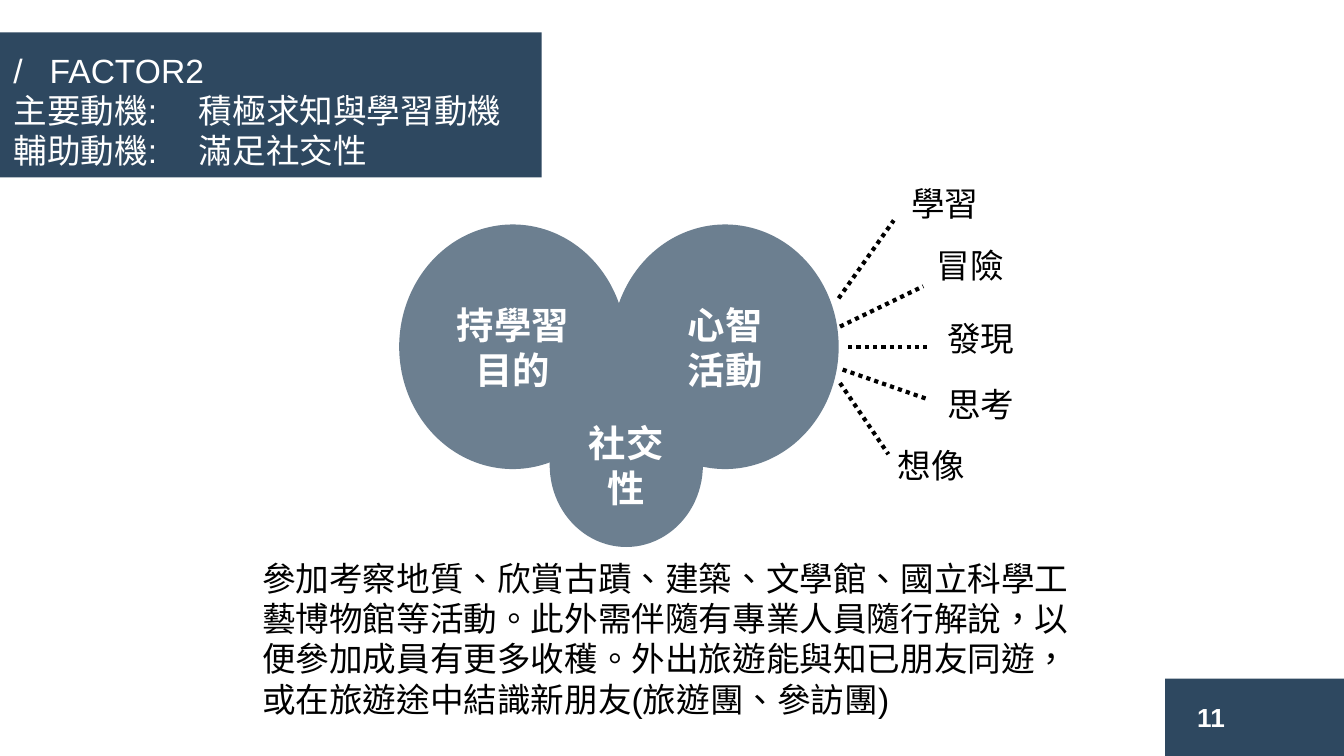
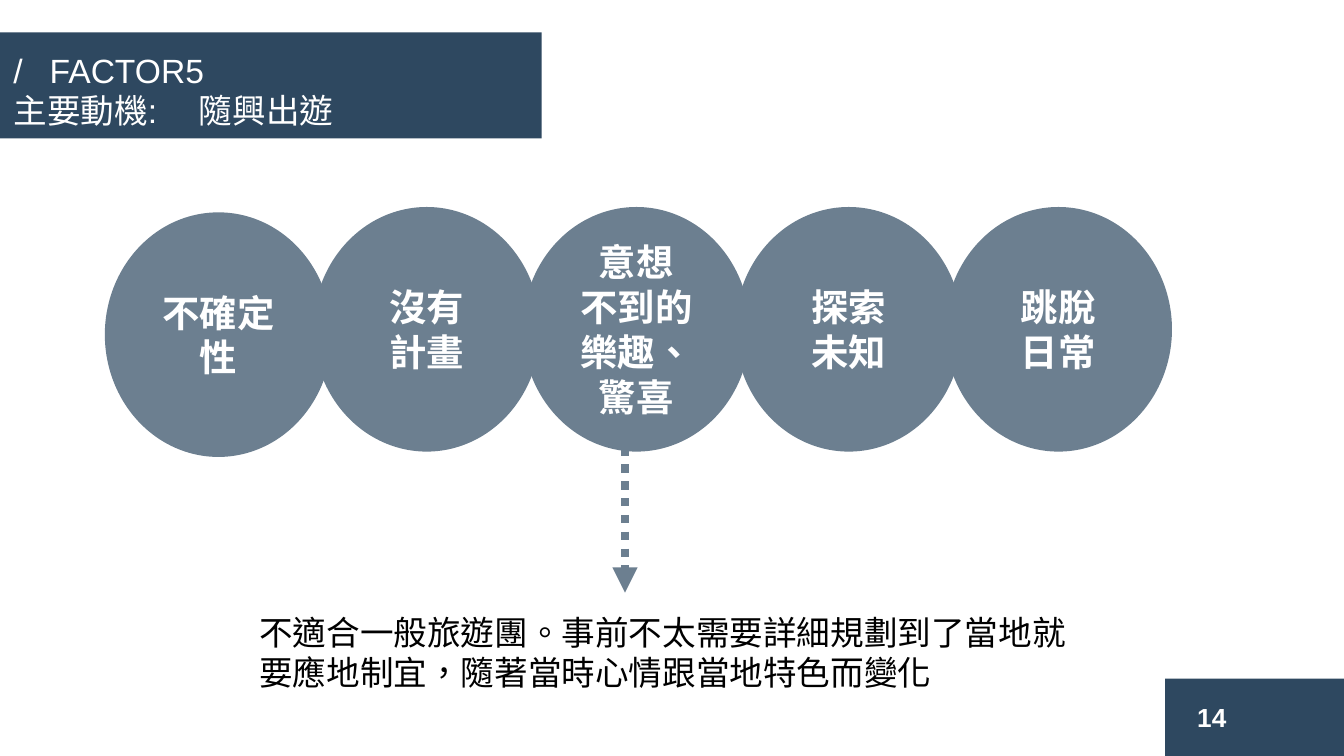
from dataclasses import dataclass

from lxml import etree
from pptx import Presentation
from pptx.dml.color import RGBColor
from pptx.enum.dml import MSO_LINE
from pptx.enum.lang import MSO_LANGUAGE_ID
from pptx.enum.shapes import MSO_CONNECTOR, MSO_SHAPE
from pptx.enum.text import MSO_ANCHOR, MSO_AUTO_SIZE, PP_ALIGN
from pptx.oxml.ns import qn
from pptx.util import Inches, Pt

RECTANGLE, OVAL = MSO_SHAPE.RECTANGLE, MSO_SHAPE.OVAL
STRAIGHT = MSO_CONNECTOR.STRAIGHT
DOTTED = MSO_LINE.ROUND_DOT
LEFT, CENTER = PP_ALIGN.LEFT, PP_ALIGN.CENTER
TOP, MIDDLE = MSO_ANCHOR.TOP, MSO_ANCHOR.MIDDLE
GROW = MSO_AUTO_SIZE.SHAPE_TO_FIT_TEXT
CHINESE = MSO_LANGUAGE_ID.TRADITIONAL_CHINESE
TITLE_AND_CONTENT = 1


@dataclass(frozen=True)
class Theme:
    font: str = "Arial"
    navy: RGBColor = RGBColor(0x2E, 0x48, 0x60)
    slate: RGBColor = RGBColor(0x6C, 0x7F, 0x90)
    white: RGBColor = RGBColor(0xFF, 0xFF, 0xFF)
    black: RGBColor = RGBColor(0, 0, 0)
    text_size: int = 18
    circle_size: int = 20
    number_size: int = 14


THEME = Theme()
TITLE_TABS = (0.27, 1.38)
CIRCLE_WIDTH, CIRCLE_HEIGHT = 1.69, 1.82


# Text and placement
def place(shape, left, top, width, height):
    shape.left, shape.top = Inches(left), Inches(top)
    shape.width, shape.height = Inches(width), Inches(height)


def insert_before_font(paragraph, tag):
    element = etree.Element(qn(tag))
    paragraph._p.pPr.find(qn("a:defRPr")).addprevious(element)
    return element


def add_tab_stops(paragraph, positions):
    tab_list = insert_before_font(paragraph, "a:tabLst")
    for position in positions:
        etree.SubElement(tab_list, qn("a:tab"), pos=str(Inches(position)), algn="l")


def remove_bullet(paragraph):
    insert_before_font(paragraph, "a:buNone")
    paragraph._p.pPr.set("marL", "0")
    paragraph._p.pPr.set("indent", "0")


def write_text(shape, lines, size, color, bold=False, align=LEFT, anchor=TOP):
    frame = shape.text_frame
    frame.text = "\n".join(lines)
    frame.word_wrap = True
    frame.vertical_anchor = anchor
    for paragraph in frame.paragraphs:
        paragraph.alignment = align
        paragraph.space_before = Pt(0)
        font = paragraph.font
        font.name, font.size, font.bold = THEME.font, Pt(size), bold
        font.color.rgb = color
        font.language_id = CHINESE
        for run in paragraph.runs:
            run.font.language_id = CHINESE
    return frame


# Drawn elements
def add_filled_shape(slide, kind, left, top, width, height, color):
    shape = slide.shapes.add_shape(
        kind, Inches(left), Inches(top), Inches(width), Inches(height))
    shape.shadow.inherit = False
    shape.fill.solid()
    shape.fill.fore_color.rgb = color
    shape.line.fill.background()
    return shape


def add_circle(slide, left, top, lines, width=CIRCLE_WIDTH, height=CIRCLE_HEIGHT):
    circle = add_filled_shape(slide, OVAL, left, top, width, height, THEME.slate)
    write_text(circle, lines, THEME.circle_size, THEME.white, True, CENTER, MIDDLE)


def add_label(slide, text, left, top, width=0.71, height=0.4,
              size=THEME.text_size, color=THEME.black, bold=False):
    box = slide.shapes.add_textbox(
        Inches(left), Inches(top), Inches(width), Inches(height))
    frame = write_text(box, [text], size, color, bold)
    frame.word_wrap = False
    frame.auto_size = GROW


def add_dotted_line(slide, start, end, color, weight, arrow=False):
    connector = slide.shapes.add_connector(
        STRAIGHT, *(Inches(value) for value in (*start, *end)))
    connector.line.color.rgb = color
    connector.line.width = Pt(weight)
    connector.line.dash_style = DOTTED
    if arrow:
        etree.SubElement(connector.line._get_or_add_ln(), qn("a:tailEnd"),
                         type="triangle")
    etree.SubElement(connector._element.spPr, qn("a:effectLst"))


# Shared slide frame: title band, description and page number
def add_factor_slide(presentation, number, title_lines, title_height, band_height,
                     description, description_place):
    layout = presentation.slide_layouts[TITLE_AND_CONTENT]
    slide = presentation.slides.add_slide(layout)

    # The band goes behind the title placeholder
    band = add_filled_shape(slide, RECTANGLE, 0, 0.24, 4.03, band_height, THEME.navy)
    slide.shapes.title._element.addprevious(band._element)

    title = slide.shapes.title
    place(title, 0, 0.32, 4.03, title_height)
    frame = write_text(title, title_lines, THEME.text_size, THEME.white)
    frame.auto_size = GROW
    for paragraph in frame.paragraphs:
        add_tab_stops(paragraph, TITLE_TABS)

    body = slide.placeholders[1]
    place(body, *description_place)
    frame = write_text(body, [description], THEME.text_size, THEME.black)
    frame.auto_size = GROW
    remove_bullet(frame.paragraphs[0])

    add_filled_shape(slide, RECTANGLE, 8.67, 5.05, 1.33, 0.59, THEME.navy)
    add_label(slide, str(number), 8.81, 5.17, 0.5, 0.34,
              THEME.number_size, THEME.white, True)
    return slide


# Factor 2: learning motives
def build_learning_slide(presentation):
    slide = add_factor_slide(
        presentation, 11,
        ["/\tFACTOR2", "主要動機:\t積極求知與學習動機", "輔助動機:\t滿足社交性"],
        1.31, 1.08,
        "參加考察地質、欣賞古蹟、建築、文學館、國立科學工藝博物館等活動。"
        "此外需伴隨有專業人員隨行解說，以便參加成員有更多收穫。"
        "外出旅遊能與知已朋友同遊，或在旅遊途中結識新朋友(旅遊團、參訪團)",
        (1.85, 4.1, 6.3, 1.31))
    add_circle(slide, 2.97, 1.67, ["持學習目的"])
    add_circle(slide, 4.55, 1.67, ["心智", "活動"])

    # Each ray: line start, line end, label, label position
    rays = [
        ((6.24, 2.22), (6.65, 1.64), "學習", (6.68, 1.31)),
        ((6.25, 2.43), (6.87, 2.13), "冒險", (6.87, 1.77)),
        ((6.31, 2.58), (6.92, 2.58), "發現", (6.95, 2.32)),
        ((6.27, 2.75), (6.9, 2.97), "思考", (6.95, 2.81)),
        ((6.25, 2.85), (6.61, 3.38), "想像", (6.58, 3.26)),
    ]
    for start, end, text, position in rays:
        add_dotted_line(slide, start, end, THEME.black, 2.25)
        add_label(slide, text, *position)
    add_circle(slide, 4.09, 2.85, ["社交性"], 1.14, 1.22)


# Factor 5: spontaneous travel
def build_spontaneous_slide(presentation):
    slide = add_factor_slide(
        presentation, 14,
        ["/\tFACTOR5", "主要動機:\t隨興出遊"], 0.71, 0.79,
        "不適合一般旅遊團。事前不太需要詳細規劃到了當地就要應地制宜，"
        "隨著當時心情跟當地特色而變化",
        (1.83, 4.5, 6.3, 0.71))
    add_dotted_line(slide, (4.65, 3.08), (4.65, 4.41), THEME.slate, 4.5, arrow=True)

    circles = [
        (0.78, 1.58, ["不確定性"]),
        (2.33, 1.54, ["沒有", "計畫"]),
        (3.89, 1.54, ["意想", "不到的樂趣、驚喜"]),
        (5.47, 1.54, ["探索", "未知"]),
        (7.03, 1.54, ["跳脫", "日常"]),
    ]
    for left, top, lines in circles:
        add_circle(slide, left, top, lines)


def main():
    presentation = Presentation()
    presentation.slide_width = Inches(10)
    presentation.slide_height = Inches(10) * 9 // 16
    build_learning_slide(presentation)
    build_spontaneous_slide(presentation)
    presentation.save("out.pptx")


main()
